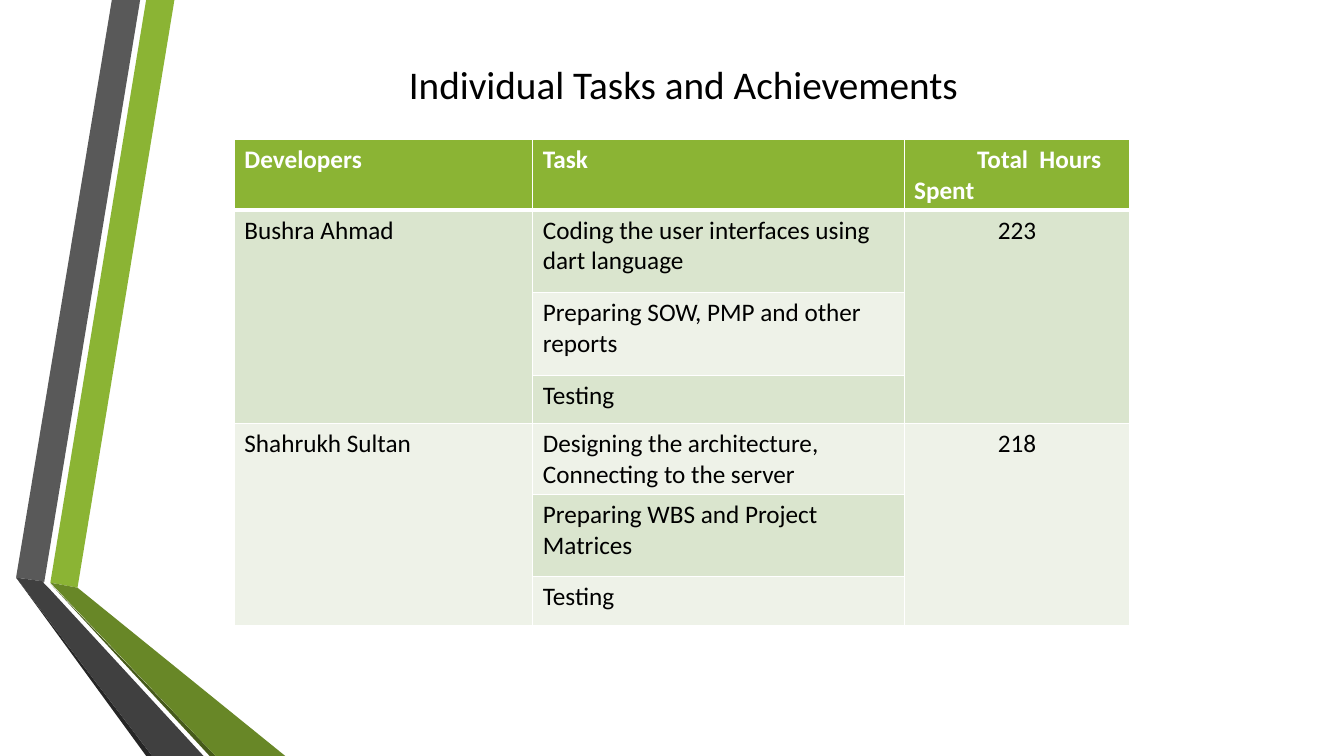
import pptx
import pptx.dml.color
import pptx.enum.text
import pptx.oxml
import pptx.oxml.ns
import pptx.util

Pt = pptx.util.Pt
CENTER = pptx.enum.text.PP_ALIGN.CENTER

COLORS = {
    "green": "8BB434", "olive": "688727", "dark_olive": "465A1A",
    "gray": "595959", "charcoal": "404040", "near_black": "262626",
    "band": "DAE5CE", "pale": "EEF2E8", "white": "FFFFFF", "black": "000000",
}

# Ribbon pieces from back to front: colour and corner points
RIBBONS = [
    ("green", [(36, 416.2), (55.4, 419.8), (124.6, 0), (104.4, 0)]),
    ("gray", [(100.1, 0), (79.9, 0), (11.5, 412.6), (31.7, 415.4)]),
    ("near_black", [(11.5, 412.6), (104.4, 540), (108.7, 540)]),
    ("dark_olive", [(36, 416.9), (149.8, 540), (154.1, 540)]),
    ("olive", [(36, 416.2), (154.1, 540), (203.8, 540), (55.4, 419.8)]),
    ("charcoal", [(145.4, 540), (34.6, 419.8), (31, 416.2), (31.7, 415.4),
                  (11.5, 412.6), (108.7, 540)]),
]

HEADERS = ["Developers", "Task", "Total  Hours Spent"]
DEVELOPERS = [
    ("Bushra Ahmad", "223", ["Coding the user interfaces using dart language",
                             "Preparing SOW, PMP and other reports",
                             "Testing"]),
    ("Shahrukh Sultan", "218", ["Designing the architecture,\nConnecting to the server",
                                "Preparing WBS and Project Matrices",
                                "Testing"]),
]
COL_WIDTHS = [213.2, 265.2, 161.4]
ROW_HEIGHTS = [39.6, 59, 59, 34.6, 34.6, 59, 34.6]


def rgb(name):
    return pptx.dml.color.RGBColor.from_string(COLORS[name])


def add_ribbon(s, color, points):
    corners = [(Pt(x), Pt(y)) for x, y in points]
    builder = s.shapes.build_freeform(*corners[0])
    builder.add_line_segments(corners[1:], close=True)
    sp = builder.convert_to_shape()
    sp.shadow.inherit = False
    sp.fill.solid()
    sp.fill.fore_color.rgb = rgb(color)
    sp.line.fill.background()


def write_text(tf, text, size, color="black", bold=False, align=None):
    tf.word_wrap = True
    for i, line in enumerate(text.split("\n")):
        p = tf.add_paragraph() if i else tf.paragraphs[0]
        p.alignment = align
        r = p.add_run()
        r.text = line
        formats = {"name": "Calibri", "size": Pt(size), "bold": bold}
        for key, value in formats.items():
            setattr(r.font, key, value)
        r.font.color.rgb = rgb(color)


def add_title(s, text):
    sp = s.shapes.add_textbox(Pt(285), Pt(39.6), Pt(444.2), Pt(41))
    write_text(sp.text_frame, text, 28)


def style_cell(cell, fill, bottom=1):
    # Borders go in ahead of the fill
    tc_pr = cell._tc.get_or_add_tcPr()
    for side, width in {"L": 1, "R": 1, "T": 1, "B": bottom}.items():
        tc_pr.append(pptx.oxml.parse_xml(
            f'<a:ln{side} {pptx.oxml.ns.nsdecls("a")} w="{Pt(width)}"><a:solidFill>'
            f'<a:srgbClr val="{COLORS["white"]}"/></a:solidFill></a:ln{side}>'))
    cell.fill.solid()
    cell.fill.fore_color.rgb = rgb(fill)


def add_task_table(s):
    frame = s.shapes.add_table(len(ROW_HEIGHTS), len(COL_WIDTHS), Pt(167.4), Pt(99.6),
                               Pt(sum(COL_WIDTHS)), Pt(sum(ROW_HEIGHTS)))
    table = frame.table
    for col, width in zip(table.columns, COL_WIDTHS):
        col.width = Pt(width)
    for row, height in zip(table.rows, ROW_HEIGHTS):
        row.height = Pt(height)

    # Header row
    for c, text in enumerate(HEADERS):
        cell = table.cell(0, c)
        style_cell(cell, "green", bottom=3)
        write_text(cell.text_frame, text, 18, "white", bold=True)
    hours_p = table.cell(0, 2).text_frame.paragraphs[0]
    hours_p._p.get_or_add_pPr().set("indent", str(Pt(45)))

    # Banded body
    for row in range(1, len(ROW_HEIGHTS)):
        for c in range(len(COL_WIDTHS)):
            style_cell(table.cell(row, c), "band" if row % 2 else "pale")

    # One merged block for each developer
    top = 1
    for name, hours, tasks in DEVELOPERS:
        for c, text, align in [(0, name, None), (2, hours, CENTER)]:
            cell = table.cell(top, c)
            cell.merge(table.cell(top + len(tasks) - 1, c))
            write_text(cell.text_frame, text, 18, align=align)
        for i, task in enumerate(tasks):
            write_text(table.cell(top + i, 1).text_frame, task, 18)
        top += len(tasks)


def main():
    prs = pptx.Presentation()
    prs.slide_width, prs.slide_height = Pt(960), Pt(540)
    s = prs.slides.add_slide(prs.slide_layouts[6])
    for color, points in RIBBONS:
        add_ribbon(s, color, points)
    add_title(s, "Individual Tasks and Achievements")
    add_task_table(s)
    prs.save("out.pptx")


if __name__ == "__main__":
    main()
